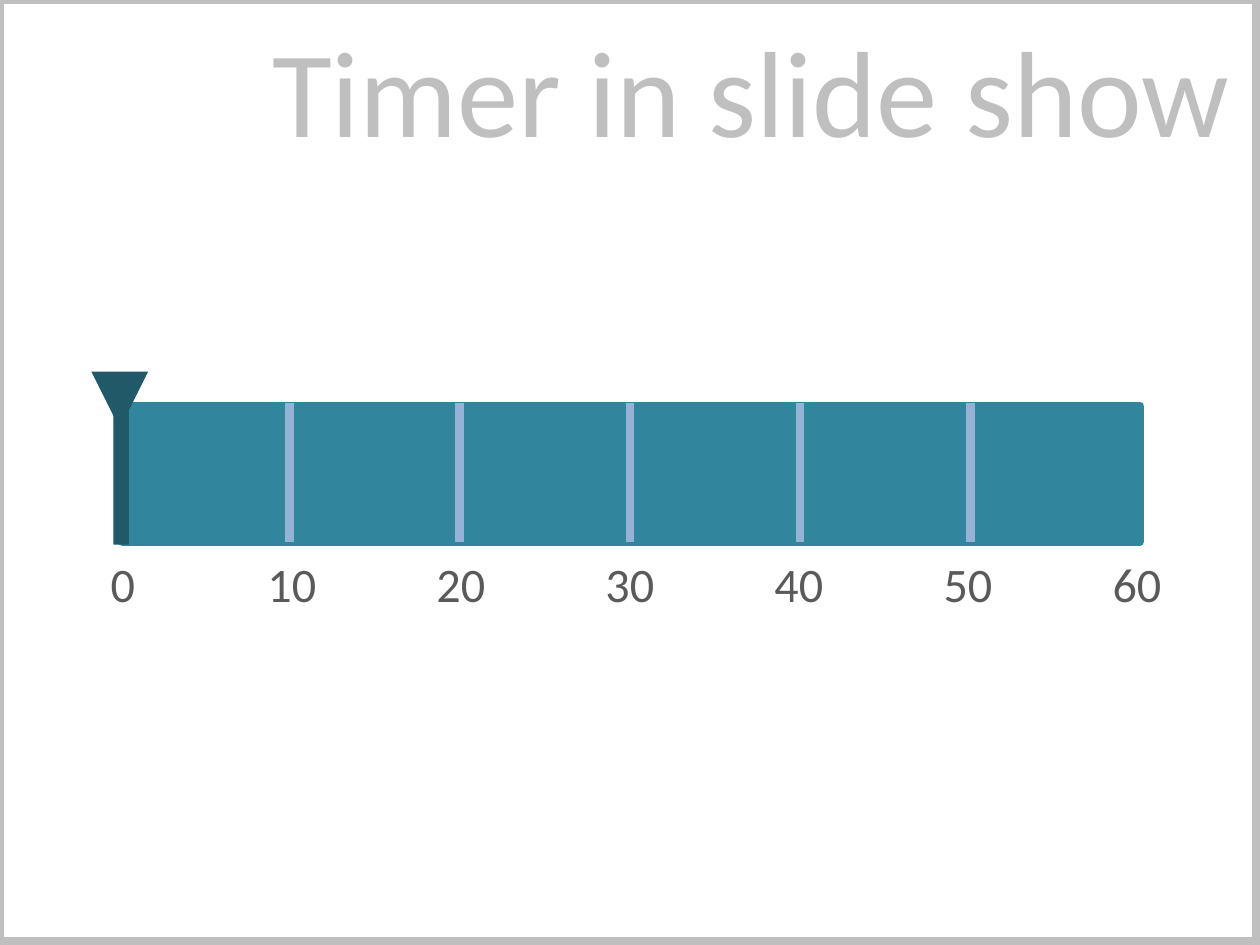
import pptx
import pptx.dml.color
import pptx.enum.shapes
import pptx.enum.text
import pptx.oxml
import pptx.util

Inches = pptx.util.Inches
Pt = pptx.util.Pt
RGBColor = pptx.dml.color.RGBColor
Shape = pptx.enum.shapes.MSO_SHAPE
Align = pptx.enum.text.PP_ALIGN

GREY = RGBColor(0xBF, 0xBF, 0xBF)
TEAL = RGBColor(0x31, 0x85, 0x9C)
DARK_TEAL = RGBColor(0x21, 0x59, 0x68)
LIGHT_BLUE = RGBColor(0x95, 0xB3, 0xD7)
TEXT_GREY = RGBColor(0x5A, 0x5A, 0x5A)

STEPS = 6
BAR_LEFT, BAR_TOP, BAR_WIDTH, BAR_HEIGHT = 0.39, 1.29, 3.23, 0.43
TICK_START, TICK_STEP = 0.38, 0.54
LABEL_START, LABEL_STEP = 0.39, 3.22 / STEPS
LABEL_WIDTH = 0.4

deck = pptx.Presentation()
deck.slide_width, deck.slide_height = Inches(4), Inches(3)
page = deck.slides.add_slide(deck.slide_layouts[6])


def add_block(kind, left, top, width, height, fill=None, line=None):
    """Add a preset shape; without a colour, its fill or line is left off."""
    block = page.shapes.add_shape(
        kind, Inches(left), Inches(top), Inches(width), Inches(height))
    block.shadow.inherit = False
    for part, color in ((block.fill, fill), (block.line.fill, line)):
        if color is None:
            part.background()
        else:
            part.solid()
            part.fore_color.rgb = color
    if line is not None:
        block.line.width = Pt(2)
    return block


def add_text(shapes, text, left, top, width, height, size, color, align):
    box = shapes.add_textbox(
        Inches(left), Inches(top), Inches(width), Inches(height))
    box.text_frame.word_wrap = True
    para = box.text_frame.paragraphs[0]
    para.text = text
    para.alignment = align
    para.font.name = "Calibri"
    para.font.size = Pt(size)
    para.font.color.rgb = color
    return box


add_block(Shape.RECTANGLE, 0, 0, 3.99, 2.99, line=GREY)
add_text(page.shapes, "Timer in slide show", 0, 0, 4, 0.57, 28, GREY, Align.RIGHT)

# Timer bar with a tick between neighbouring steps
add_block(Shape.RECTANGLE, BAR_LEFT, BAR_TOP, BAR_WIDTH, BAR_HEIGHT, TEAL, TEAL)
ticks = page.shapes.add_group_shape()
for step in range(1, STEPS):
    x = Inches(TICK_START + step * TICK_STEP)
    tick = ticks.shapes.add_connector(
        pptx.enum.shapes.MSO_CONNECTOR.STRAIGHT, x, Inches(1.28), x, Inches(1.72))
    tick.line.color.rgb = LIGHT_BLUE
    tick.line.width = Pt(2)
    tick._element.spPr.append(pptx.oxml.parse_xml(
        '<a:effectLst xmlns:a="http://schemas.openxmlformats.org/drawingml/2006/main"/>'))

labels = page.shapes.add_group_shape()
for step in range(STEPS + 1):
    center = LABEL_START + step * LABEL_STEP
    label = add_text(labels.shapes, str(step * 10), center - LABEL_WIDTH / 2, 1.64,
                     LABEL_WIDTH, 0.42, 11, TEXT_GREY, Align.CENTER)
    label.text_frame.vertical_anchor = pptx.enum.text.MSO_ANCHOR.MIDDLE
    label.text_frame.margin_left = label.text_frame.margin_right = 0

# Marker at the start of the bar
pointer = add_block(Shape.ISOSCELES_TRIANGLE, 0.29, 1.18, 0.18, 0.18, DARK_TEAL)
pointer.rotation = 180
add_block(Shape.RECTANGLE, 0.36, 1.3, 0.05, 0.43, DARK_TEAL)

deck.save("out.pptx")
